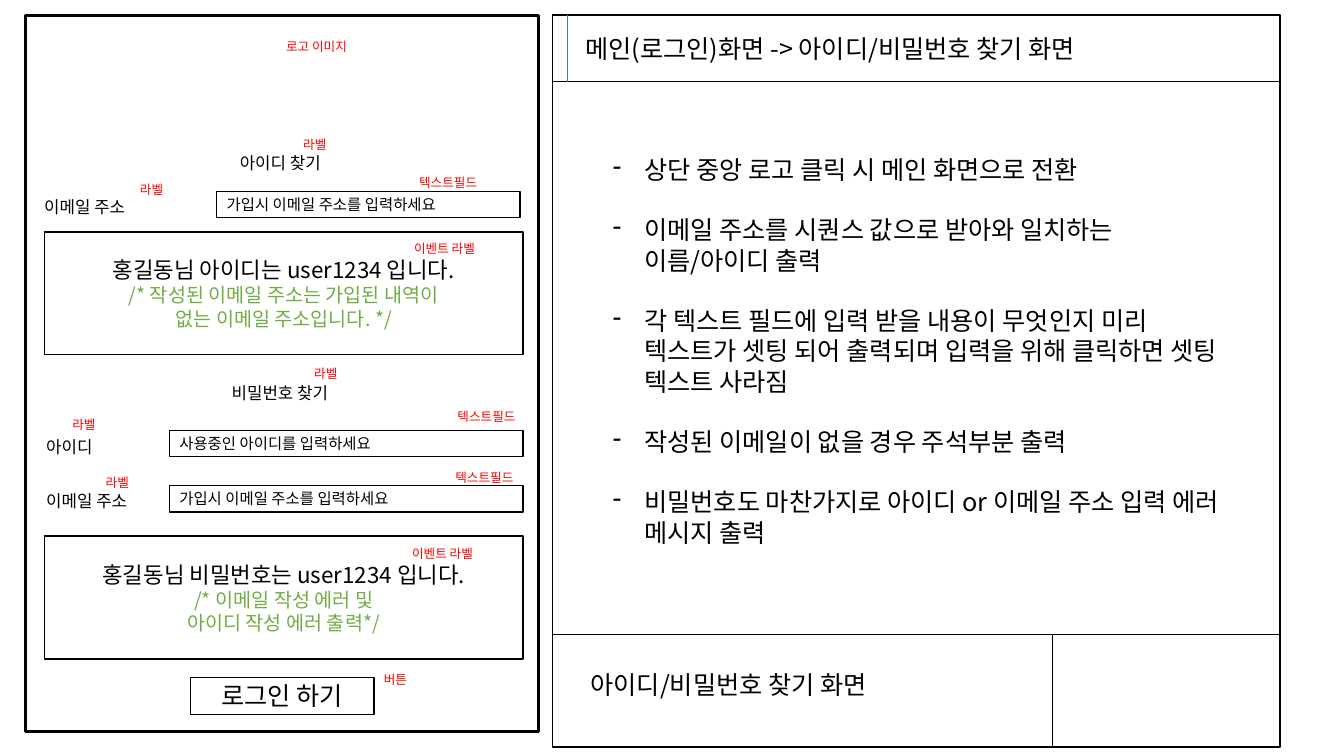
import pptx
import pptx.dml.color
import pptx.enum.shapes
import pptx.enum.text
import pptx.oxml.ns
import pptx.util
from lxml import etree

Pt = pptx.util.Pt
qn = pptx.oxml.ns.qn
ALIGN = pptx.enum.text.PP_ALIGN
ANCHOR = pptx.enum.text.MSO_ANCHOR

BLACK, WHITE, RED, GREEN, BLUE = "000000", "FFFFFF", "FF0000", "70AD47", "4472C4"


def rgb(value):
    return pptx.dml.color.RGBColor.from_string(value)


def write(p, text, size=12, color=BLACK, align=ALIGN.LEFT, before=0):
    """Put text into a paragraph; a vertical tab makes a line break."""
    p.text = text
    p.alignment = align
    p.space_before = Pt(before)
    p.line_spacing = Pt(1.2 * size)
    for r in p.runs:
        r.font.name = Wireframe.FONT
        r.font.size = Pt(size)
        r.font.color.rgb = rgb(color)
        ea = etree.SubElement(r.font._element, qn("a:ea"))
        ea.set("typeface", Wireframe.FONT)


class Wireframe:
    FONT = "Noto Sans CJK KR"

    def __init__(self, prs):
        self.s = prs.slides.add_slide(prs.slide_layouts[6])

    def rect(self, x, y, w, h, fill=WHITE, width=1):
        sp = self.s.shapes.add_shape(pptx.enum.shapes.MSO_SHAPE.RECTANGLE,
                                     Pt(x), Pt(y), Pt(w), Pt(h))
        sp.shadow.inherit = False
        if fill:
            sp.fill.solid()
            sp.fill.fore_color.rgb = rgb(fill)
        else:
            sp.fill.background()
        sp.line.color.rgb = rgb(BLACK)
        sp.line.width = Pt(width)
        tf = sp.text_frame
        tf.word_wrap = True
        tf.vertical_anchor = ANCHOR.MIDDLE
        return tf

    def line(self, x1, y1, x2, y2, color=BLACK):
        c = self.s.shapes.add_connector(pptx.enum.shapes.MSO_CONNECTOR.STRAIGHT,
                                        Pt(x1), Pt(y1), Pt(x2), Pt(y2))
        c.line.color.rgb = rgb(color)
        c.line.width = Pt(0.5)
        etree.SubElement(c._element.spPr, qn("a:effectLst"))

    def text(self, x, y, w, text, size=12, color=BLACK):
        box = self.s.shapes.add_textbox(Pt(x), Pt(y), Pt(w), Pt(1.2 * size + 7.2))
        tf = box.text_frame
        tf.word_wrap = True
        tf.auto_size = pptx.enum.text.MSO_AUTO_SIZE.SHAPE_TO_FIT_TEXT
        write(tf.paragraphs[0], text, size=size, color=color)

    def tag(self, x, y, text, w=77):
        self.text(x, y, w, text, size=9, color=RED)

    def field(self, x, y, w, hint):
        write(self.rect(x, y, w, 18.7).paragraphs[0], hint, size=11)

    def result(self, y, message, comments):
        tf = self.rect(31.7, y, 342, 87.8)
        write(tf.paragraphs[0], message, size=16, align=ALIGN.CENTER)
        for comment in comments:
            write(tf.add_paragraph(), comment, size=14, color=GREEN, align=ALIGN.CENTER)

    def bullets(self, tf, items, size=18):
        for i, item in enumerate(items):
            p = tf.add_paragraph() if i else tf.paragraphs[0]
            p.level = 1
            write(p, item, size=size, before=1.2 * size if i else 0)
            pPr = p._p.get_or_add_pPr()
            pPr.set("marL", str(Pt(58.5)))
            pPr.set("indent", str(Pt(-22.5)))
            etree.SubElement(pPr, qn("a:buFontTx"))
            etree.SubElement(pPr, qn("a:buChar")).set("char", "-")


def main():
    prs = pptx.Presentation()
    prs.slide_width, prs.slide_height = Pt(960), Pt(540)
    wf = Wireframe(prs)

    # Description panel
    left, top, right, bottom = 394.6, 10.8, 914.4, 533.5
    header, footer = 58.3, 452.9
    tf = wf.rect(left, top, right - left, bottom - top)
    tf.margin_bottom = Pt(46.8)
    wf.bullets(tf, [
        "상단 중앙 로고 클릭 시 메인 화면으로 전환",
        "이메일 주소를 시퀀스 값으로 받아와 일치하는\v이름/아이디 출력",
        "각 텍스트 필드에 입력 받을 내용이 무엇인지 미리\v"
        "텍스트가 셋팅 되어 출력되며 입력을 위해 클릭하면 셋팅 텍스트 사라짐",
        "작성된 이메일이 없을 경우 주석부분 출력",
        "비밀번호도 마찬가지로 아이디 or 이메일 주소 입력 에러 메시지 출력",
    ])
    wf.line(left, header, right, header)
    wf.line(405.4, top, 405.4, header, color=BLUE)
    wf.line(left, footer, right, footer)
    wf.line(751.7, footer, 751.7, bottom)
    wf.text(411.1, 20.2, 429, "메인(로그인)화면 -> 아이디/비밀번호 찾기 화면", size=18)
    wf.text(414.7, 474.5, 314.6, "아이디/비밀번호 찾기 화면", size=18)

    # Input fields and their captions
    email_hint = "가입시 이메일 주소를 입력하세요"
    wf.field(154.8, 136.8, 216.7, email_hint)
    wf.field(121, 307.4, 252.7, "사용중인 아이디를 입력하세요")
    wf.field(121, 347, 252.7, email_hint)
    for x, y, caption in [(24.5, 136.8, "이메일 주소"), (164.2, 105.8, "아이디 찾기"),
                          (158.4, 270, "비밀번호 찾기"), (25.9, 308.2, "아이디"),
                          (25.9, 347, "이메일 주소")]:
        wf.text(x, y, 98, caption)

    # Result boxes
    wf.result(165.6, "홍길동님 아이디는 user1234 입니다.",
              ["/* 작성된 이메일 주소는 가입된 내역이", "없는 이메일 주소입니다. */"])
    wf.result(383, "홍길동님 비밀번호는 user1234 입니다.",
              ["/* 이메일 작성 에러 및", "아이디 작성 에러 출력*/"])

    # Red component tags
    tags = {
        "라벨": [(209.5, 94.3), (92.9, 126.7), (217.4, 257.8), (44.6, 294.5), (68.4, 335.5)],
        "텍스트필드": [(292.3, 121.7), (319.7, 288.7), (318.2, 331.9)],
        "이벤트 라벨": [(288.7, 168.5), (287.3, 386.6)],
    }
    for name, places in tags.items():
        for x, y in places:
            wf.tag(x, y, name)
    wf.tag(197.3, 24.5, "로고 이미지", w=93.6)

    # Screen frame and login button
    wf.rect(18, 10.8, 366.5, 511.9, fill=None, width=2.25)
    button = wf.rect(136.1, 483.8, 131, 26.6)
    write(button.paragraphs[0], "로그인 하기", size=18, align=ALIGN.CENTER)
    wf.tag(267.1, 476.6, "버튼", w=44.6)

    prs.save("out.pptx")


if __name__ == "__main__":
    main()
